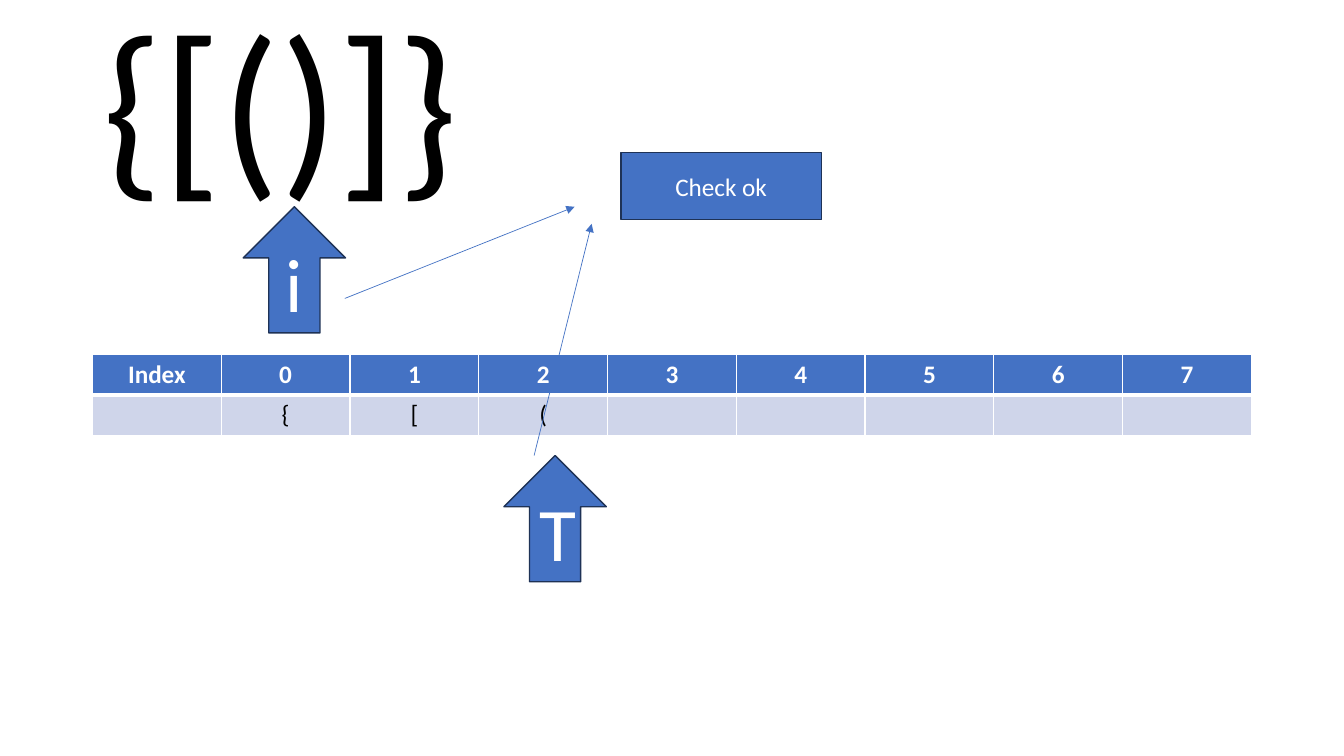
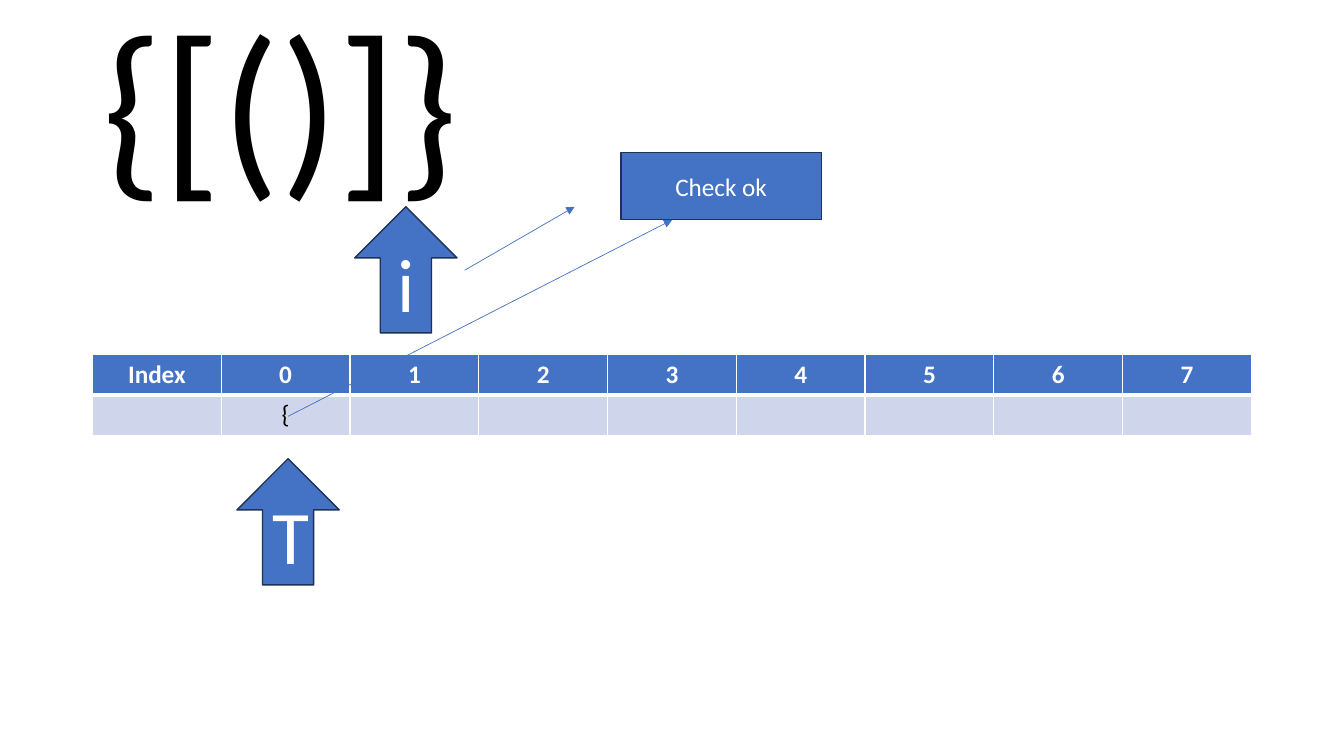
from dataclasses import dataclass

from pptx import Presentation
from pptx.dml.color import RGBColor
from pptx.enum.shapes import MSO_CONNECTOR as Connector, MSO_SHAPE as Preset
from pptx.enum.text import MSO_ANCHOR as Anchor, PP_ALIGN as Align
from pptx.oxml.ns import qn
from pptx.slide import Slide
from pptx.table import _Cell as Cell
from pptx.util import Cm, Pt
from lxml.etree import SubElement

FONT = "Calibri"
COLORS = {
    "blue": "4472C4",
    "outline": "1E3256",
    "band": "CFD5EA",
    "white": "FFFFFF",
    "black": "000000",
}
BRACKETS = "{[()]}"
STACK_SIZE = 8
HEADINGS = ["Index", *map(str, range(STACK_SIZE))]

# Shared geometry in centimetres
MARGIN = 2.33
TABLE_TOP, TABLE_WIDTH, ROW_HEIGHT = 8.92, 29.21, 1.03
POINTER_WIDTH, POINTER_HEIGHT = 2.58, 3.18
CHECK_BOX = (15.65, 3.84, 5.05, 1.7)


@dataclass(frozen=True)
class Pointer:
    label: str
    left: float
    top: float


@dataclass(frozen=True)
class Arrow:
    start: tuple[float, float]
    end: tuple[float, float]


@dataclass(frozen=True)
class Step:
    stack: str
    pointers: tuple[Pointer, ...]
    arrows: tuple[Arrow, ...]


STEPS = (
    Step(
        "{[(",
        (Pointer("i", 6.13, 5.21), Pointer("T", 12.7, 11.48)),
        (Arrow((8.69, 7.52), (14.48, 5.21)), Arrow((13.46, 11.48), (14.91, 5.64))),
    ),
    Step(
        "{",
        (Pointer("i", 8.94, 5.21), Pointer("T", 5.97, 11.56)),
        (Arrow((11.71, 6.81), (14.48, 5.21)), Arrow((7.26, 10.49), (16.94, 5.54))),
    ),
)


def color(name: str) -> RGBColor:
    return RGBColor.from_string(COLORS[name])


def style_paragraph(paragraph, size: float, ink: str, align: Align, bold: bool = False) -> None:
    paragraph.alignment = align
    font = paragraph.font
    font.name, font.size, font.bold = FONT, Pt(size), bold
    font.color.rgb = color(ink)


def add_title(slide: Slide) -> None:
    box = slide.shapes.add_textbox(Cm(MARGIN), Cm(1.01), Cm(11.13), Cm(3.68))
    frame = box.text_frame
    frame.word_wrap = True
    frame.vertical_anchor = Anchor.MIDDLE
    frame.text = BRACKETS
    paragraph = frame.paragraphs[0]
    paragraph.line_spacing = 0.9
    style_paragraph(paragraph, 137.7, "black", Align.LEFT)


def add_block(slide: Slide, preset: Preset, bounds: tuple[float, ...], text: str, size: float) -> None:
    shape = slide.shapes.add_shape(preset, *map(Cm, bounds))
    shape.shadow.inherit = False
    shape.fill.solid()
    shape.fill.fore_color.rgb = color("blue")
    shape.line.color.rgb = color("outline")
    shape.line.width = Pt(1)
    frame = shape.text_frame
    frame.vertical_anchor = Anchor.MIDDLE
    frame.text = text
    style_paragraph(frame.paragraphs[0], size, "white", Align.CENTER)


def set_borders(cell: Cell, widths: dict[str, float]) -> None:
    properties = cell._tc.get_or_add_tcPr()
    for side, width in widths.items():
        line = SubElement(properties, qn(f"a:ln{side}"), w=str(Pt(width)))
        fill = SubElement(line, qn("a:solidFill"))
        SubElement(fill, qn("a:srgbClr"), val=COLORS["white"])


def add_stack_table(slide: Slide, stack: str) -> None:
    rows = (HEADINGS, ["", *stack.ljust(STACK_SIZE).replace(" ", "\0")])
    frame = slide.shapes.add_table(
        len(rows), len(HEADINGS), Cm(MARGIN), Cm(TABLE_TOP), Cm(TABLE_WIDTH), Cm(2 * ROW_HEIGHT)
    )
    table = frame.table
    for row_index, texts in enumerate(rows):
        table.rows[row_index].height = Cm(ROW_HEIGHT)
        header = row_index == 0
        # The thick rule lies between the two rows
        top, bottom = (1, 3) if header else (3, 1)
        for column_index, text in enumerate(texts):
            cell = table.cell(row_index, column_index)
            set_borders(cell, {"L": 1, "R": 1, "T": top, "B": bottom})
            cell.fill.solid()
            cell.fill.fore_color.rgb = color("blue" if header else "band")
            cell.text = text.strip("\0")
            ink = "white" if header else "black"
            style_paragraph(cell.text_frame.paragraphs[0], 18, ink, Align.CENTER, header)


def add_arrow(slide: Slide, arrow: Arrow) -> None:
    connector = slide.shapes.add_connector(
        Connector.STRAIGHT, *map(Cm, (*arrow.start, *arrow.end))
    )
    connector.line.color.rgb = color("blue")
    connector.line.width = Pt(0.5)
    SubElement(connector.line._get_or_add_ln(), qn("a:tailEnd"), type="triangle")
    SubElement(connector._element.spPr, qn("a:effectLst"))


def add_step(presentation: Presentation, step: Step) -> None:
    slide = presentation.slides.add_slide(presentation.slide_layouts[6])
    add_title(slide)
    add_stack_table(slide, step.stack)
    # Pointers into the text and the stack
    for pointer in step.pointers:
        bounds = (pointer.left, pointer.top, POINTER_WIDTH, POINTER_HEIGHT)
        add_block(slide, Preset.UP_ARROW, bounds, pointer.label, 54)
    # Comparison of the two marked brackets
    add_block(slide, Preset.RECTANGLE, CHECK_BOX, "Check ok", 18)
    for arrow in step.arrows:
        add_arrow(slide, arrow)


def main() -> None:
    presentation = Presentation()
    presentation.slide_width, presentation.slide_height = Cm(33.87), Cm(19.05)
    for step in STEPS:
        add_step(presentation, step)
    presentation.save("out.pptx")


if __name__ == "__main__":
    main()
